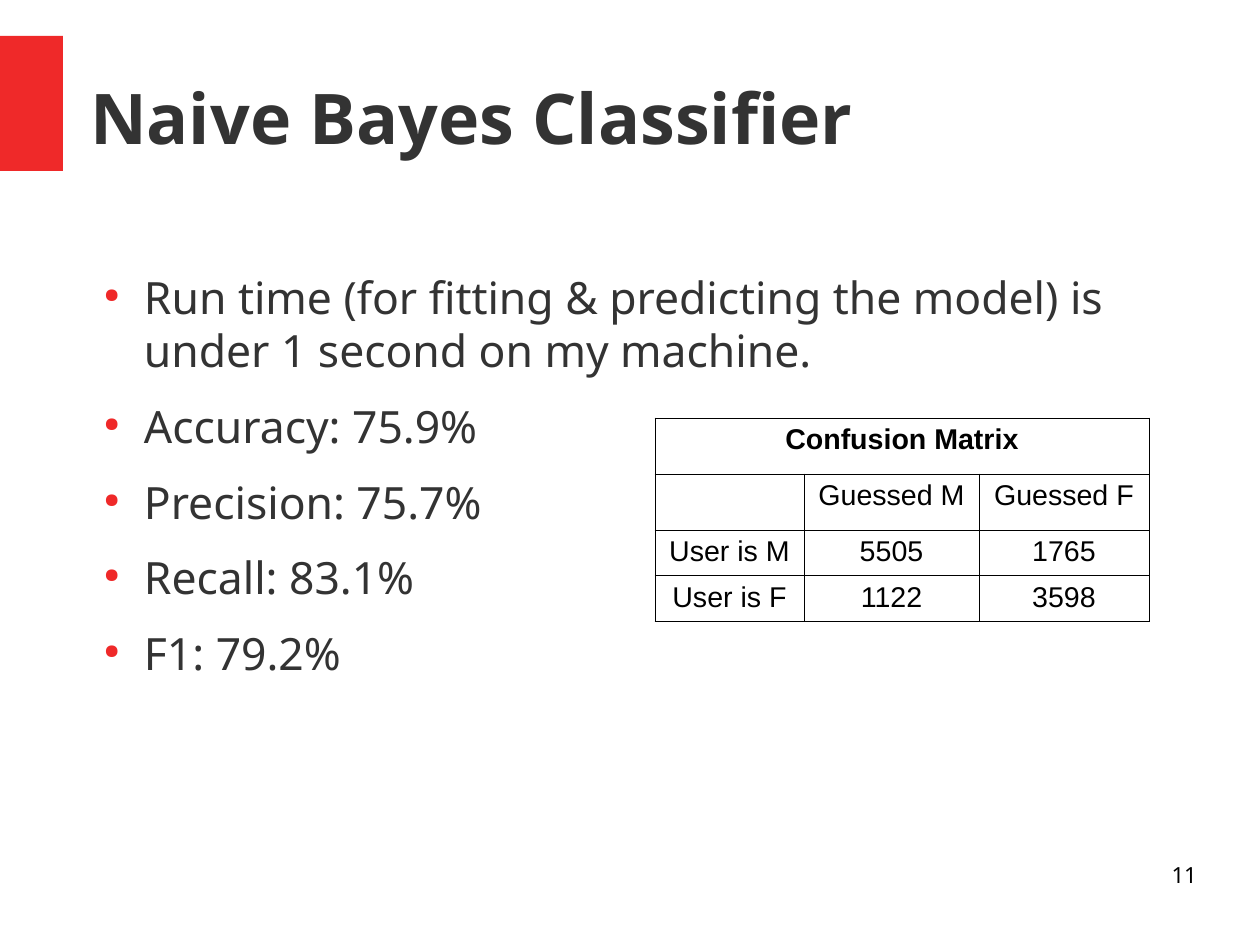
from lxml import etree
from pptx import Presentation
from pptx.dml.color import RGBColor
from pptx.enum.shapes import MSO_SHAPE
from pptx.enum.text import MSO_ANCHOR, PP_ALIGN
from pptx.oxml.ns import qn
from pptx.util import Pt

TITLE = "Naive Bayes Classifier"
RESULTS = [
    "Run time (for fitting & predicting the model) is under 1 second on my machine.",
    "Accuracy: 75.9%",
    "Precision: 75.7%",
    "Recall: 83.1%",
    "F1: 79.2%",
]
CONFUSION_MATRIX = [
    ["Confusion Matrix", "", ""],
    ["", "Guessed M", "Guessed F"],
    ["User is M", "5505", "1765"],
    ["User is F", "1122", "3598"],
]
PAGE_NUMBER = "11"

EMU_PER_PX = 8000
SLIDE_SIZE = (1260, 945)
ACCENT_BOX = (0, 36, 63, 135)
TITLE_BOX = (90, 38, 1106, 158)
RESULTS_BOX = (90, 270, 1080, 549)
TABLE_BOX = (655, 418, 494, 199)
PAGE_NUMBER_BOX = (903, 861, 294, 65)
COLUMN_WIDTHS = (149, 175, 170)
ROW_HEIGHTS = (56, 56, 43, 44)
BULLET_INDENT = 54
BULLET_HANG = 40

RED = RGBColor(0xEF, 0x29, 0x29)
DARK = RGBColor(0x33, 0x33, 0x33)
BLACK = RGBColor(0, 0, 0)
LEFT, CENTER, RIGHT = PP_ALIGN.LEFT, PP_ALIGN.CENTER, PP_ALIGN.RIGHT
TOP, MIDDLE = MSO_ANCHOR.TOP, MSO_ANCHOR.MIDDLE
RECTANGLE = MSO_SHAPE.RECTANGLE

TITLE_FONT = {"name": "Noto Sans", "size": Pt(44), "bold": True}
RESULT_FONT = {"name": "Noto Sans", "size": Pt(28)}
NUMBER_FONT = {"name": "Noto Sans", "size": Pt(14)}
CELL_FONT = {"name": "Arial", "size": Pt(18), "bold": False}
HEADING_FONT = {**CELL_FONT, "bold": True}
FRAME_FORMAT = {"word_wrap": True, "margin_left": 0, "margin_top": 0,
                "margin_right": 0, "margin_bottom": 0}


def emu(lengths):
    return [length * EMU_PER_PX for length in lengths]


def set_attributes(target, values):
    for name, value in values.items():
        setattr(target, name, value)


def write(paragraph, text, font, color, alignment):
    paragraph.alignment = alignment
    run = paragraph.add_run()
    run.text = text
    set_attributes(run.font, font)
    run.font.color.rgb = color


def add_color(parent, color):
    etree.SubElement(parent, qn("a:srgbClr"), val=str(color))


def add_bullet(paragraph):
    properties = paragraph._p.get_or_add_pPr()
    properties.set("marL", str(BULLET_INDENT * EMU_PER_PX))
    properties.set("indent", str(-BULLET_HANG * EMU_PER_PX))
    add_color(etree.SubElement(properties, qn("a:buClr")), RED)
    etree.SubElement(properties, qn("a:buSzPct"), val="45000")
    etree.SubElement(properties, qn("a:buChar"), char="●")


def add_borders(cell):
    properties = cell._tc.get_or_add_tcPr()
    for index, side in enumerate(("lnL", "lnR", "lnT", "lnB")):
        line = etree.Element(qn(f"a:{side}"), w=str(Pt(0.57)))
        add_color(etree.SubElement(line, qn("a:solidFill")), BLACK)
        properties.insert(index, line)


def add_accent(slide):
    accent = slide.shapes.add_shape(RECTANGLE, *emu(ACCENT_BOX))
    accent.shadow.inherit = False
    accent.fill.solid()
    accent.fill.fore_color.rgb = RED
    accent.line.fill.background()


def add_title(slide):
    title = slide.shapes.title
    set_attributes(title, dict(zip(("left", "top", "width", "height"), emu(TITLE_BOX))))
    set_attributes(title.text_frame, {**FRAME_FORMAT, "vertical_anchor": MIDDLE})
    write(title.text_frame.paragraphs[0], TITLE, TITLE_FONT, DARK, LEFT)


def add_text_frame(slide, box):
    frame = slide.shapes.add_textbox(*emu(box)).text_frame
    set_attributes(frame, {**FRAME_FORMAT, "vertical_anchor": TOP})
    return frame


def add_results(slide):
    frame = add_text_frame(slide, RESULTS_BOX)
    for index, result in enumerate(RESULTS):
        paragraph = frame.add_paragraph() if index else frame.paragraphs[0]
        paragraph.space_after = Pt(14.1)
        write(paragraph, result, RESULT_FONT, DARK, LEFT)
        add_bullet(paragraph)


def add_confusion_matrix(slide):
    table = slide.shapes.add_table(
        len(ROW_HEIGHTS), len(COLUMN_WIDTHS), *emu(TABLE_BOX)).table
    set_attributes(table, {"first_row": False, "horz_banding": False})
    for column, width in zip(table.columns, emu(COLUMN_WIDTHS)):
        column.width = width
    for row, height in zip(table.rows, emu(ROW_HEIGHTS)):
        row.height = height
    table.cell(0, 0).merge(table.cell(0, len(COLUMN_WIDTHS) - 1))
    for row_index, texts in enumerate(CONFUSION_MATRIX):
        for column_index, text in enumerate(texts):
            cell = table.cell(row_index, column_index)
            cell.fill.background()
            add_borders(cell)
            if text:
                font = CELL_FONT if row_index else HEADING_FONT
                write(cell.text_frame.paragraphs[0], text, font, BLACK, CENTER)


def main():
    presentation = Presentation()
    presentation.slide_width, presentation.slide_height = emu(SLIDE_SIZE)
    slide = presentation.slides.add_slide(presentation.slide_layouts[5])
    add_accent(slide)
    add_title(slide)
    add_results(slide)
    add_confusion_matrix(slide)
    number_frame = add_text_frame(slide, PAGE_NUMBER_BOX)
    write(number_frame.paragraphs[0], PAGE_NUMBER, NUMBER_FONT, BLACK, RIGHT)
    presentation.save("out.pptx")


if __name__ == "__main__":
    main()
